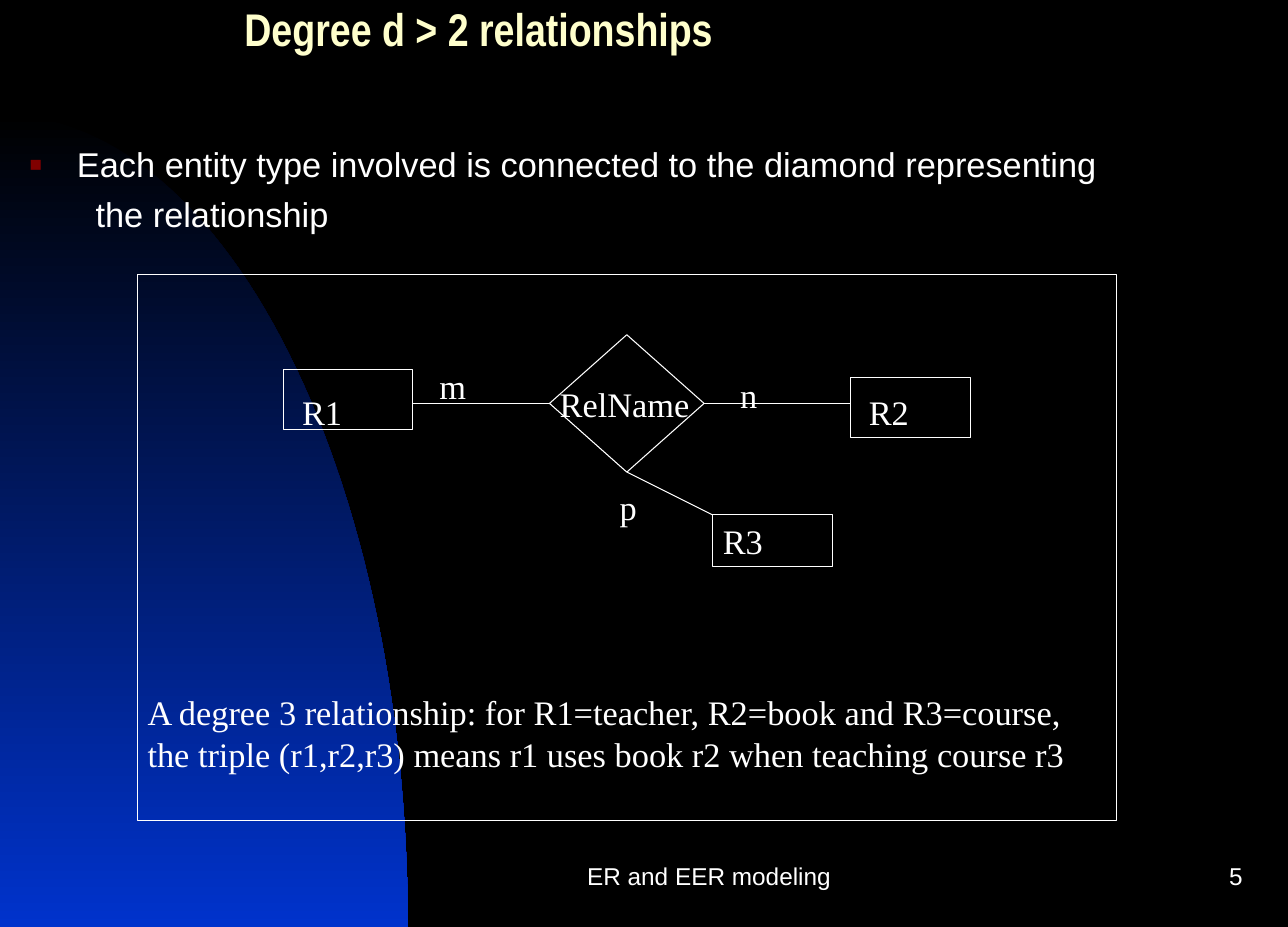
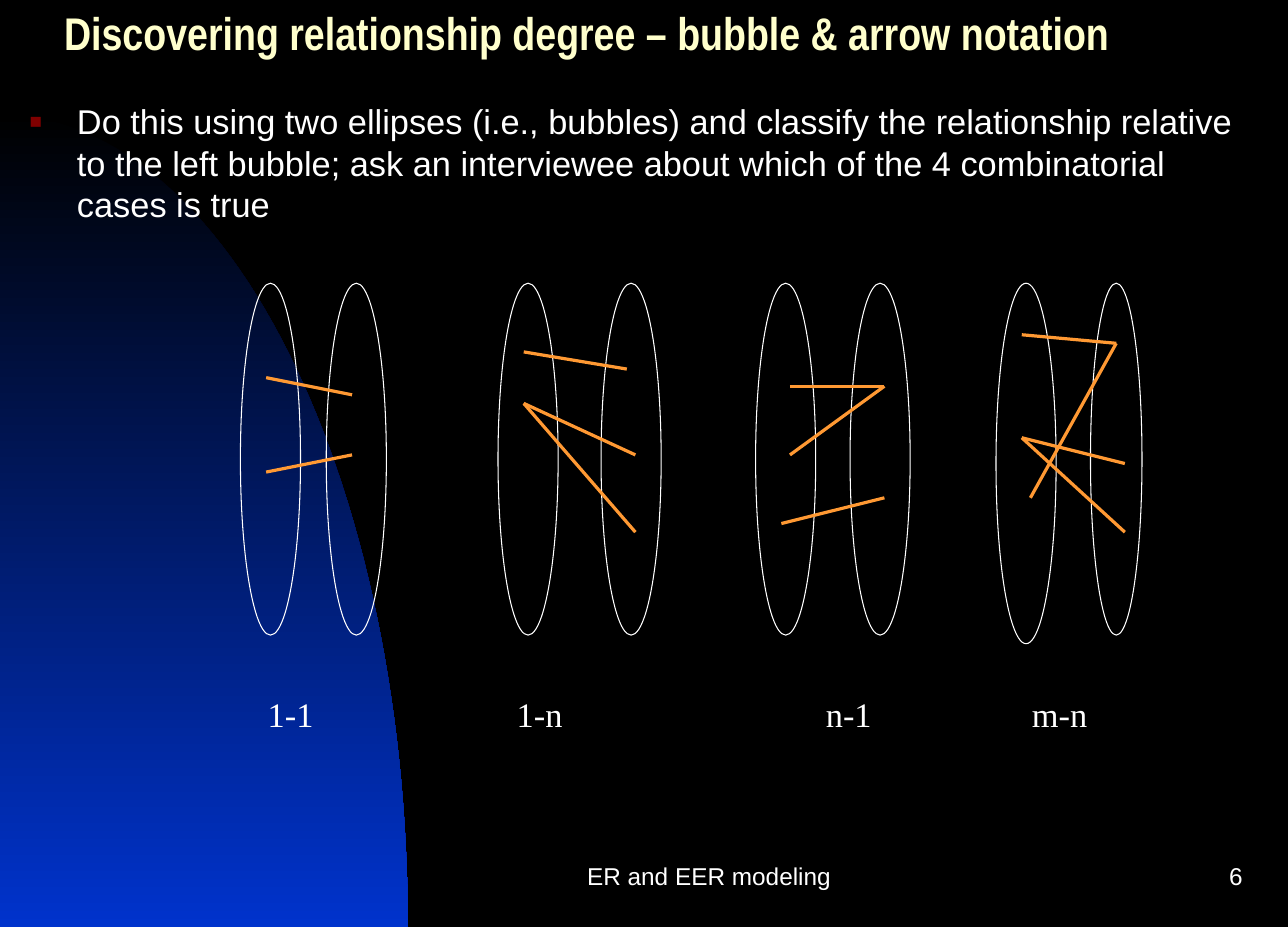
"""Build two slides on relationship degree in ER modeling."""
from math import cos, pi, sin
from lxml.etree import SubElement
from pptx import Presentation
from pptx.dml.color import RGBColor
from pptx.enum.shapes import MSO_CONNECTOR as Wire, MSO_SHAPE as Kind
from pptx.enum.text import MSO_ANCHOR as Anchor, PP_ALIGN as Align
from pptx.oxml.ns import qn
from pptx.util import Pt

hue = RGBColor.from_string
BLACK, WHITE, CREAM = "000000", "FFFFFF", "FFFFCC"
BLUE, MAROON, ORANGE = "0033CC", "800000", "FF9933"
SANS, NARROW, SERIF = "Arial", "Arial Narrow", "Times New Roman"


def write(shape, lines, font=SERIF, size=24, colour=WHITE, bold=False,
          align=Align.LEFT, anchor=Anchor.TOP, side=7.2, top=3.6):
    """Fill a shape with one formatted run per paragraph."""
    frame = shape.text_frame
    frame.word_wrap = True
    frame.vertical_anchor = anchor
    frame.margin_left = frame.margin_right = Pt(side)
    frame.margin_top, frame.margin_bottom = Pt(top), Pt(3.6)
    for i, line in enumerate(lines):
        para = frame.add_paragraph() if i else frame.paragraphs[0]
        para.alignment = align
        run = para.add_run()
        run.text = line
        run.font.name, run.font.size, run.font.bold = font, Pt(size), bold
        run.font.color.rgb = hue(colour)
    return frame.paragraphs


def ink(item, colour=WHITE, width=0.75):
    """Give a shape or connector a plain outline without shadow."""
    item.line.color.rgb = hue(colour)
    item.line.width = Pt(width)
    SubElement(item.element.spPr, qn("a:effectLst"))


prs = Presentation()
prs.slide_width, prs.slide_height = Pt(900), Pt(648)
master = prs.slide_master
master.background.fill.solid()
master.background.fill.fore_color.rgb = hue(BLACK)

pages = [
    (5, "Degree d > 2 relationships", (162, 0, 534, 48), (12, 96, 866, 80),
     ["Each entity type involved is connected to the diamond representing",
      "the relationship"]),
    (6, "Discovering relationship degree – bubble & arrow notation",
     (36, 0, 834, 54), (12, 66, 866, 100),
     ["Do this using two ellipses (i.e., bubbles) and classify the relationship "
      "relative to the left bubble; ask an interviewee about which of the 4 "
      "combinatorial cases is true"]),
]
slides = []
for number, head, spot, area, points in pages:
    slide = prs.slides.add_slide(prs.slide_layouts[5])
    slides.append(slide)
    title = slide.shapes.title
    title.left, title.top, title.width, title.height = map(Pt, spot)
    para = write(title, [head], NARROW, 32, CREAM, True,
                 anchor=Anchor.MIDDLE, side=8.8, top=4.4)[0]
    para.line_spacing = 0.7

    body = slide.shapes.add_textbox(*map(Pt, area))
    paras = write(body, points, SANS, side=8.8, top=4.4)
    for i, para in enumerate(paras):
        para.space_before = Pt(6)
        props = para._p.get_or_add_pPr()
        props.set("marL", str(Pt(46 if i else 33)))
        props.set("indent", str(Pt(0 if i else -33)))
    props = paras[0]._p.get_or_add_pPr()
    tint = SubElement(props, qn("a:buClr"))
    SubElement(tint, qn("a:srgbClr"), val=MAROON)
    SubElement(props, qn("a:buSzPct"), val="60000")
    SubElement(props, qn("a:buFont"), typeface=SANS)
    SubElement(props, qn("a:buChar"), char="■")

    for text, left, width, align in [
            ("ER and EER modeling", 353, 285, Align.CENTER),
            (str(number), 690, 187, Align.RIGHT)]:
        foot = slide.shapes.add_textbox(Pt(left), Pt(590.5), Pt(width), Pt(43))
        write(foot, [text], SANS, 17, align=align, anchor=Anchor.MIDDLE, side=8.8)

degree, bubbles = [slide.shapes for slide in slides]

fine = 100
turns = [pi / 2 * i / 60 for i in range(61)]
curve = [(285 * fine * sin(t), (648 - 568 * cos(t)) * fine) for t in turns]
pen = degree.build_freeform(*curve[0], scale=Pt(1) / fine)
pen.add_line_segments(curve[1:] + [(0, 648 * fine)], close=True)
arc = pen.convert_to_shape()
arc.shadow.inherit = False
arc.line.fill.background()
arc.fill.gradient()
arc.fill.gradient_angle = 270
for stop, place, colour in zip(arc.fill.gradient_stops, (0, 1), (BLACK, BLUE)):
    stop.position = place
    stop.color.rgb = hue(colour)
master.shapes.element.insert(2, arc.element)

blocks = [
    (Kind.RECTANGLE, (96, 192, 684, 381.6), 291.5,
     "A degree 3 relationship: for R1=teacher, R2=book and R3=course, "
     "the triple (r1,r2,r3) means r1 uses book r2 when teaching course r3"),
    (Kind.DIAMOND, (384, 234, 108, 96), 0, ""),
    (Kind.RECTANGLE, (198, 258, 90, 42), 0, ""),
    (Kind.RECTANGLE, (594, 264, 84, 42), 0, ""),
    (Kind.RECTANGLE, (498, 360, 84, 36), 3.6, "R3"),
]
for kind, box, top, text in blocks:
    block = degree.add_shape(kind, *map(Pt, box))
    block.fill.background()
    ink(block)
    if text:
        write(block, [text], top=top)

for ends in [(384, 282, 288, 282), (492, 282, 594, 282), (438, 330, 498, 360)]:
    ink(degree.add_connector(Wire.STRAIGHT, *map(Pt, ends)))

for text, left, top, width in [
        ("R1", 204, 270, 78), ("R2", 600, 270, 84), ("RelName", 384, 264, 108),
        ("m", 300, 252, 60), ("n", 510, 258, 54), ("p", 426, 336, 42)]:
    write(degree.add_textbox(Pt(left), Pt(top), Pt(width), Pt(36)), [text])

for text, left in [("1-1", 180), ("1-n", 354), ("n-1", 570), ("m-n", 714)]:
    write(bubbles.add_textbox(Pt(left), Pt(481), Pt(72), Pt(36)), [text])

ovals = [(168, 42, 246), (228, 42, 246), (348, 42, 246), (420, 42, 246),
         (528, 42, 246), (594, 42, 246), (696, 42, 252), (762, 36, 246)]
for left, width, height in ovals:
    oval = bubbles.add_shape(Kind.OVAL, Pt(left), Pt(198), Pt(width), Pt(height))
    oval.fill.background()
    ink(oval)

links = [
    (186, 264, 246, 276), (186, 330, 246, 318),
    (366, 246, 438, 258), (366, 282, 444, 318), (366, 282, 444, 372),
    (552, 270, 618, 270), (552, 318, 618, 270), (546, 366, 618, 348),
    (714, 234, 780, 240), (720, 348, 780, 240), (714, 306, 786, 324),
    (786, 372, 714, 306),
]
for ends in links:
    ink(bubbles.add_connector(Wire.STRAIGHT, *map(Pt, ends)), ORANGE, 2.25)

prs.save("out.pptx")
